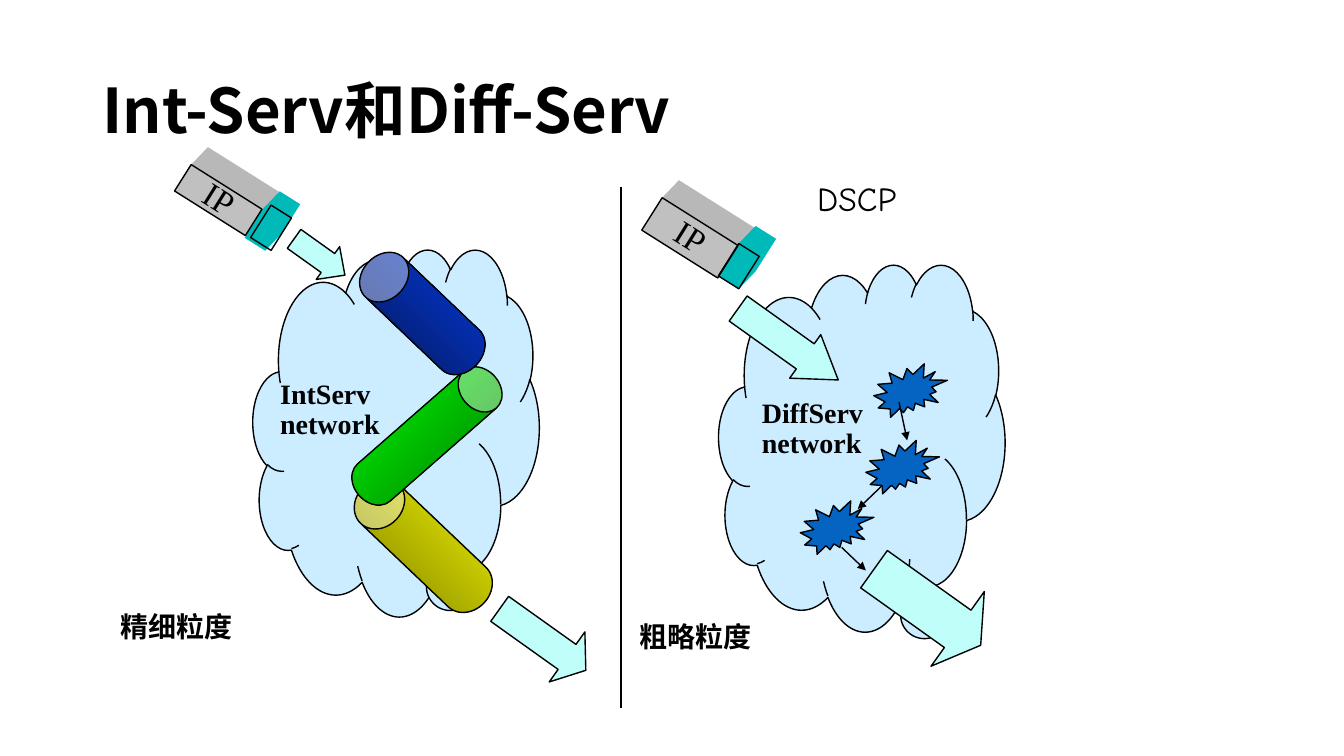
"""Builds a slide that contrasts the Int-Serv and Diff-Serv networks."""
from math import cos, radians, sin

from lxml import etree
from pptx import Presentation
from pptx.dml.color import RGBColor
from pptx.enum.shapes import MSO_CONNECTOR as CONN, MSO_SHAPE as SHAPE
from pptx.enum.text import MSO_ANCHOR as ANCHOR, PP_ALIGN as ALIGN
from pptx.oxml.ns import qn
from pptx.util import Pt

BLACK = RGBColor(0x00, 0x00, 0x00)
CLOUD = RGBColor(0xCC, 0xEC, 0xFF)
ARROW = RGBColor(0xC0, 0xFE, 0xF9)
ROUTER = RGBColor(0x05, 0x63, 0xC1)
GREY = RGBColor(0xC0, 0xC0, 0xC0)
GREY_SIDE = RGBColor(0xB8, 0xB8, 0xB8)
TEAL = RGBColor(0x00, 0xBA, 0xBA)
OLIVE, YELLOW = RGBColor(0x74, 0x75, 0x00), RGBColor(0xFA, 0xFD, 0x00)
LIME, GREEN = RGBColor(0x00, 0xFF, 0x00), RGBColor(0x00, 0x76, 0x00)
NAVY, BLUE = RGBColor(0x02, 0x14, 0x4B), RGBColor(0x06, 0x3D, 0xE8)
SERIF, SANS, COMIC = "Times New Roman", "Noto Sans CJK SC", "Comic Neue"

TITLE = ("Int-Serv和Diff-Serv", (66, 29, 828, 104))
DSCP = ("DSCP", (552, 123.8, 120, 36))
LABELS = [
    ("IntServ network", (193, 267.8, 99.4, 50.4)),
    ("DiffServ network", (537.1, 281.5, 99.4, 50.4)),
    ("精细粒度", (79.2, 434.9, 170, 28.8)),
    ("粗略粒度", (450, 441.4, 191.5, 28.8)),
]
CLOUDS = [
    ((513.4, 188.6, 204.5, 262.1), (0.204, 0.426)),
    ((180.7, 177.8, 204.5, 262.1), (0.139, 0.309)),
]
FLOW_ARROWS = [
    ((349.9, 434.9, 75.6, 43.9), (0.5, 0.375)),
    ((205.9, 169.2, 44.6, 28.8), (0.577, 0.516)),
    ((519.1, 226.8, 87.8, 38.2), (0.577, 0.757)),
    ((615.6, 401, 93.6, 65.5), (0.5, 0.308)),
]
PIPES = [
    ((282.9, 329.8, 39, 119.5), 313.6, 0.847, (OLIVE, YELLOW), 45),
    ((287.3, 247, 35.3, 128.9), 48.8, 0.791, (LIME, GREEN), 315),
    ((282.2, 170.7, 39, 106.5), 313.6, 0.8, (NAVY, BLUE), 45),
]
PACKETS = [
    {"body": (126, 131.8, 59.8, 22.3), "header": (180, 151.9, 17.3, 24.5),
     "frame": (185, 149, 17.3, 27.4)},
    {"body": (460.8, 156.2, 64.1, 27.4), "header": (519.1, 176.4, 17.3, 27.4),
     "frame": (519.1, 176.4, 17.3, 27.4)},
]
ROUTERS = [(624.2, 259.9), (618.5, 314.6), (571.7, 357.8)]
ROUTER_SIZE = (52.6, 38.2)
HOPS = [
    (642.2, 287.3, 648, 314.6),
    (630, 347, 612.7, 363.6),
    (601.2, 391, 618.5, 407.5),
]
DIVIDER = (443.5, 133.9, 443.5, 505.4)
FLOW_TILT, PACKET_TILT = 35.5, 32.2
DEPTH = (12, -12.5)


def pts(values):
    return [Pt(v) for v in values]


def write(s, text, font=SERIF, size=20, bold=False, align=ALIGN.LEFT,
          anchor=ANCHOR.TOP, wrap=True, spacing=0.9):
    tf = s.text_frame
    tf.word_wrap = wrap
    tf.vertical_anchor = anchor
    p = tf.paragraphs[0]
    p.alignment = align
    p.line_spacing = spacing
    r = p.add_run()
    r.text = text
    r.font.name, r.font.size, r.font.bold = font, Pt(size), bold
    r.font.color.rgb = BLACK
    east = SANS if font == SERIF else font
    etree.SubElement(r.font._element, qn("a:ea")).set("typeface", east)
    return r


def paint(s, fill=None, line=True):
    s.shadow.inherit = False
    if fill is None:
        s.fill.background()
    else:
        s.fill.solid()
        s.fill.fore_color.rgb = fill
    if line:
        s.line.color.rgb = BLACK
        s.line.width = Pt(1)
    else:
        s.line.fill.background()


def add_preset(shapes, kind, box, fill=None, tilt=0, adjust=()):
    s = shapes.add_shape(kind, *pts(box))
    for i, value in enumerate(adjust):
        s.adjustments[i] = value
    s.rotation = tilt
    paint(s, fill)
    return s


def add_line(shapes, ends, arrow=False):
    s = shapes.add_connector(CONN.STRAIGHT, *pts(ends))
    s.line.color.rgb = BLACK
    s.line.width = Pt(1)
    if arrow:
        tail = etree.SubElement(s.line._get_or_add_ln(), qn("a:tailEnd"))
        tail.set("type", "triangle")
    etree.SubElement(s._element.spPr, qn("a:effectLst"))


def add_block(shapes, box, fill):
    left, top, width, height = box
    c, n = cos(radians(PACKET_TILT)), sin(radians(PACKET_TILT))
    corners = []
    for i, j in ((-1, -1), (1, -1), (1, 1), (-1, 1)):
        x, y = i * width / 2, j * height / 2
        corners.append((left + width / 2 + x * c - y * n,
                        top + height / 2 + x * n + y * c))
    back = [(x + DEPTH[0], y + DEPTH[1]) for x, y in corners[:3]]
    outline = [pts(xy) for xy in back + corners[2:] + corners[:1]]
    builder = shapes.build_freeform(*outline[0], scale=1.0)
    builder.add_line_segments(outline[1:], close=True)
    paint(builder.convert_to_shape(), fill, line=False)


def add_packet(shapes, packet):
    add_block(shapes, packet["body"], GREY_SIDE)
    add_block(shapes, packet["header"], TEAL)
    s = add_preset(shapes, SHAPE.RECTANGLE, packet["body"], GREY, PACKET_TILT)
    write(s, "IP", size=24, align=ALIGN.CENTER, anchor=ANCHOR.MIDDLE, wrap=False)
    add_preset(shapes, SHAPE.RECTANGLE, packet["frame"], tilt=PACKET_TILT)


def main():
    prs = Presentation()
    prs.slide_width, prs.slide_height = Pt(960), Pt(540)
    shapes = prs.slides.add_slide(prs.slide_layouts[6]).shapes

    text, box = TITLE
    write(shapes.add_textbox(*pts(box)), text, font=SANS, size=44, bold=True,
          anchor=ANCHOR.MIDDLE)
    for box, adjust in CLOUDS:
        add_preset(shapes, SHAPE.CLOUD_CALLOUT, box, CLOUD, adjust=adjust)
    add_line(shapes, DIVIDER)
    for box, tilt, cap, colours, angle in PIPES:
        s = add_preset(shapes, SHAPE.CAN, box, tilt=tilt, adjust=[cap])
        s.fill.gradient()
        s.fill.gradient_angle = angle
        s._element.spPr.find(qn("a:gradFill")).set("rotWithShape", "0")
        for stop, colour in zip(s.fill.gradient_stops, colours):
            stop.color.rgb = colour
    for box, adjust in FLOW_ARROWS:
        add_preset(shapes, SHAPE.RIGHT_ARROW, box, ARROW, FLOW_TILT, adjust)
    for packet in PACKETS:
        add_packet(shapes, packet)
    for text, box in LABELS:
        write(shapes.add_textbox(*pts(box)), text, bold=True)

    text, box = DSCP
    r = write(shapes.add_textbox(*pts(box)), text, font=COMIC, size=24,
              align=ALIGN.CENTER, wrap=False, spacing=1.0)
    ln = etree.Element(qn("a:ln"), w=str(Pt(0.75)))
    solid = etree.SubElement(ln, qn("a:solidFill"))
    etree.SubElement(solid, qn("a:srgbClr")).set("val", str(BLACK))
    r.font._element.insert(0, ln)

    for corner in ROUTERS:
        add_preset(shapes, SHAPE.EXPLOSION2, corner + ROUTER_SIZE, ROUTER)
    for ends in HOPS:
        add_line(shapes, ends, arrow=True)
    prs.save("out.pptx")


if __name__ == "__main__":
    main()
